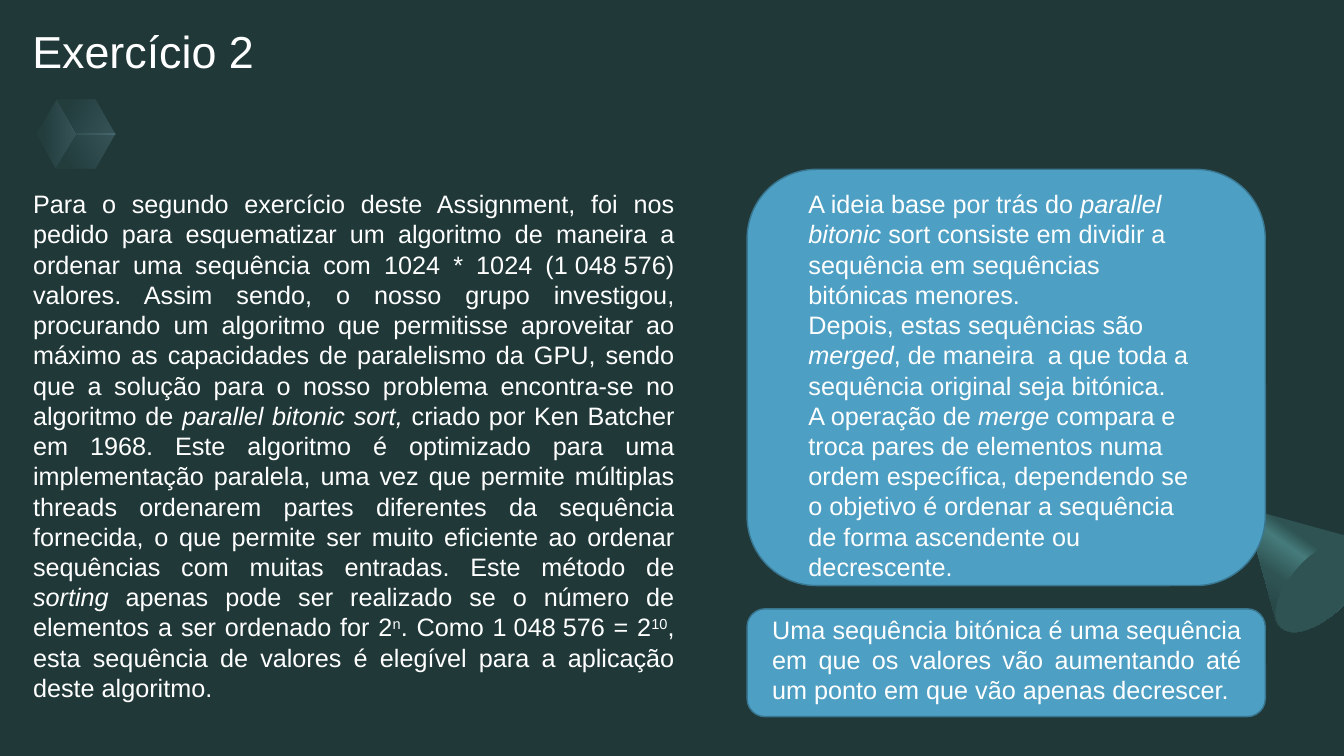
import dataclasses
import typing

import pptx
import pptx.dml.color
import pptx.enum.shapes
import pptx.enum.text
import pptx.oxml
import pptx.oxml.ns
import pptx.util

Inches = pptx.util.Inches
Point = tuple[float, float]
FONT = "Arial"
WHITE, BACKGROUND, PANEL, PANEL_EDGE = "FFFFFF", "203838", "4D9FC3", "397690"
TEAL, BRIGHT_TEAL, PALE_BLUE = "2F5353", "467B7B", "94C5DB"


class Stop(typing.NamedTuple):
    """One gradient stop: position and opacity in percent."""
    position: int
    color: str
    opacity: int = 100


class Span(typing.NamedTuple):
    """A stretch of text with one style."""
    text: str
    italic: bool = False
    superscript: bool = False


@dataclasses.dataclass
class Facet:
    """A decorative outline with its gradient, angle clockwise in degrees."""
    points: list[Point]
    stops: list[Stop]
    angle: int = 0


@dataclasses.dataclass
class Passage:
    """A text box; each paragraph is a list of spans, None breaks the line."""
    box: tuple[float, float, float, float]
    paragraphs: list[list[Span | None]]
    justified: bool = False


def rgb(color: str) -> pptx.dml.color.RGBColor:
    """Turn a hex string into a colour."""
    return pptx.dml.color.RGBColor.from_string(color)


def curve(start: Point, *controls: Point, steps: int = 12) -> list[Point]:
    """Sample a chain of cubic Bezier segments, leaving out the start."""
    points = []
    for i in range(0, len(controls), 3):
        a, b, end = controls[i:i + 3]
        for t in (step / steps for step in range(1, steps + 1)):
            u = 1 - t
            points.append(tuple(
                u**3 * p + 3 * u * u * t * q + 3 * u * t * t * r + t**3 * s
                for p, q, r, s in zip(start, a, b, end)))
        start = end
    return points


def add_facet(slide, facet: Facet) -> None:
    """Draw one gradient-filled outline."""
    corners = [(Inches(x), Inches(y)) for x, y in facet.points]
    builder = slide.shapes.build_freeform(*corners[0])
    builder.add_line_segments(corners[1:], close=True)
    shape = builder.convert_to_shape()
    shape.shadow.inherit = False
    shape.line.fill.background()
    shape.fill.background()
    stops = "".join(
        f'<a:gs pos="{stop.position * 1000}"><a:srgbClr val="{stop.color}">'
        f'<a:alpha val="{stop.opacity * 1000}"/></a:srgbClr></a:gs>'
        for stop in facet.stops)
    gradient = pptx.oxml.parse_xml(
        f'<a:gradFill {pptx.oxml.ns.nsdecls("a")}><a:gsLst>{stops}</a:gsLst>'
        f'<a:lin ang="{facet.angle * 60000}" scaled="0"/></a:gradFill>')
    properties = shape._element.spPr
    properties.replace(properties.find(pptx.oxml.ns.qn("a:noFill")), gradient)


def add_panel(slide, top: float, height: float) -> None:
    """Draw a rounded blue panel in the right column."""
    panel = slide.shapes.add_shape(
        pptx.enum.shapes.MSO_SHAPE.ROUNDED_RECTANGLE,
        Inches(7.41), Inches(top), Inches(5.14), Inches(height))
    panel.shadow.inherit = False
    panel.fill.solid()
    panel.fill.fore_color.rgb = rgb(PANEL)
    panel.line.color.rgb = rgb(PANEL_EDGE)
    panel.line.width = pptx.util.Pt(1)


def style_run(run, size: int) -> None:
    """Give a run the slide's font in white."""
    run.font.name = FONT
    run.font.size = pptx.util.Pt(size)
    run.font.color.rgb = rgb(WHITE)


def add_passage(slide, passage: Passage) -> None:
    """Write a text box with mixed styles."""
    frame = slide.shapes.add_textbox(*map(Inches, passage.box)).text_frame
    frame.word_wrap = True
    frame.auto_size = pptx.enum.text.MSO_AUTO_SIZE.SHAPE_TO_FIT_TEXT
    for i, spans in enumerate(passage.paragraphs):
        paragraph = frame.add_paragraph() if i else frame.paragraphs[0]
        if passage.justified:
            paragraph.alignment = pptx.enum.text.PP_ALIGN.JUSTIFY
        for span in spans:
            if span is None:
                paragraph.add_line_break()
                continue
            run = paragraph.add_run()
            run.text = span.text
            style_run(run, 18)
            if span.italic:
                run.font.italic = True
            if span.superscript:
                run.font._element.set("baseline", "30000")


def add_title(slide, text: str) -> None:
    """Place and format the title placeholder."""
    title = slide.shapes.title
    title.left, title.top = Inches(0.32), Inches(-0.08)
    title.width, title.height = Inches(12.11), Inches(0.85)
    frame = title.text_frame
    frame.text = text
    frame.vertical_anchor = pptx.enum.text.MSO_ANCHOR.BOTTOM
    frame.margin_left = frame.margin_right = 0
    frame.margin_top = frame.margin_bottom = 0
    frame.paragraphs[0].alignment = pptx.enum.text.PP_ALIGN.LEFT
    style_run(frame.paragraphs[0].runs[0], 32)


GLASS = [Stop(20, TEAL, 20), Stop(100, PALE_BLUE, 20)]
CONE = [Stop(30, TEAL), Stop(40, BRIGHT_TEAL), Stop(60, TEAL), Stop(100, BACKGROUND)]
RIM = (13.32, 6.01)
RIM_LOW = (12.7, 6.22)
RIM_CURVE = ((13.09, 6.24), (12.81, 6.34), RIM_LOW)
CUBE_CENTER = (0.75, 1.33)
TOP_LEFT, TOP_RIGHT, RIGHT = (0.56, 0.99), (0.95, 0.99), (1.15, 1.33)
BOTTOM_RIGHT, BOTTOM_LEFT, LEFT = (0.95, 1.67), (0.55, 1.67), (0.36, 1.33)

FACETS = [
    Facet([TOP_RIGHT, TOP_LEFT, CUBE_CENTER, RIGHT], GLASS, 30),
    Facet([BOTTOM_LEFT, LEFT, TOP_LEFT, CUBE_CENTER], GLASS, 0),
    Facet([RIGHT, BOTTOM_RIGHT, BOTTOM_LEFT, CUBE_CENTER], GLASS, 330),
    Facet([(12.35, 5.04), (13.33, 5.31), (13.33, 6), RIM,
           *curve(RIM, *RIM_CURVE, (12.68, 6.21), (12.67, 6.19), (12.66, 6.17))],
          CONE, 125),
    Facet([(13.33, 5.34), (13.33, 6), RIM,
           *curve(RIM, *RIM_CURVE, (12.58, 6.11), (12.68, 5.83), (12.91, 5.59),
                  (13.02, 5.48), (13.15, 5.4), (13.26, 5.36))],
          [Stop(0, TEAL), Stop(100, TEAL)]),
]

EXERCISE = Passage((0.23, 1.82, 6.56, 4.95), [[
    Span("Para o segundo exercício deste Assignment, foi nos pedido para esquematizar um "
         "algoritmo de maneira a ordenar uma sequência com 1024 * 1024 (1\u00a0048\u00a0576) "
         "valores. Assim sendo, o nosso grupo investigou, procurando um algoritmo que "
         "permitisse aproveitar ao máximo as capacidades de paralelismo da GPU, sendo que a "
         "solução para o nosso problema encontra-se no algoritmo de "),
    Span("parallel bitonic sort, ", italic=True),
    Span("criado por Ken Batcher em 1968. Este algoritmo é optimizado para uma implementação "
         "paralela, uma vez que permite múltiplas threads ordenarem partes diferentes da "
         "sequência fornecida, o que permite ser muito eficiente ao ordenar sequências com "
         "muitas entradas. Este método de "),
    Span("sorting ", italic=True),
    Span("apenas pode ser realizado se o número de elementos a ser ordenado for 2"),
    Span("n", superscript=True),
    Span(". Como 1\u00a0048\u00a0576 = 2"),
    Span("10", superscript=True),
    Span(", esta sequência de valores é elegível para a aplicação deste algoritmo."),
]], justified=True)

IDEA = Passage((7.92, 1.82, 4.11, 3.74), [
    [Span("A ideia base por trás do "),
     Span("parallel bitonic ", italic=True),
     Span("sort consiste em dividir a sequência em sequências bitónicas menores. "),
     None,
     Span("Depois, estas sequências são "),
     Span("merged", italic=True),
     Span(", de maneira  a que toda a sequência original seja bitónica.")],
    [Span("A operação de "),
     Span("merge ", italic=True),
     Span("compara e troca pares de elementos numa ordem específica, dependendo se o "
          "objetivo é ordenar a sequência de forma ascendente ou decrescente.")],
])

DEFINITION = Passage((7.56, 6.04, 4.85, 1.01), [[
    Span("Uma sequência bitónica é uma sequência em que os valores vão aumentando até um "
         "ponto em que vão apenas decrescer."),
]], justified=True)

presentation = pptx.Presentation()
presentation.slide_width, presentation.slide_height = Inches(13.33), Inches(7.5)
slide = presentation.slides.add_slide(presentation.slide_layouts[5])
slide.background.fill.solid()
slide.background.fill.fore_color.rgb = rgb(BACKGROUND)
for facet in FACETS:
    add_facet(slide, facet)
add_title(slide, "Exercício 2")
add_passage(slide, EXERCISE)
for top, height, passage in ((1.68, 4.13, IDEA), (6.04, 1.07, DEFINITION)):
    add_panel(slide, top, height)
    add_passage(slide, passage)
presentation.save("out.pptx")
